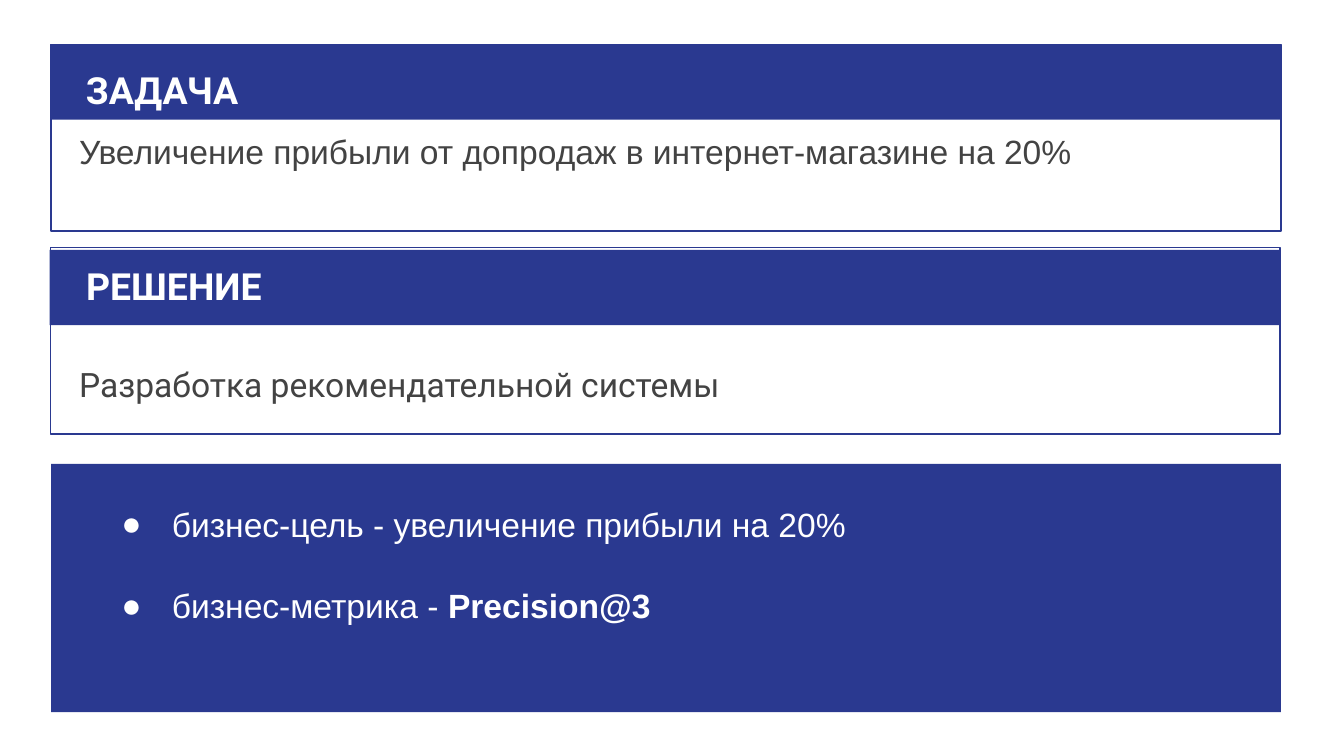
from lxml import etree
from pptx import Presentation
from pptx.dml.color import RGBColor
from pptx.enum import shapes, text
from pptx.oxml import ns
from pptx.util import Pt

BLUE = RGBColor(0x2A, 0x39, 0x90)
GREY = RGBColor(0x43, 0x43, 0x43)
WHITE = RGBColor(0xFF, 0xFF, 0xFF)

# Content: boxes are (left, top, width, height) in points
HEADING = dict(name="Roboto", size=Pt(20), bold=True)
BODY = dict(name="Arial", size=Pt(18), bold=False)
SECTIONS = [
    dict(frame=(27.4, 23.8, 658.8, 100), bar=(26.9, 23.8, 659.5, 40.3)),
    dict(frame=(26.9, 132.5, 658.8, 100), bar=(26.6, 133.9, 659.5, 40.3)),
]
GOALS_PANEL = (27.4, 248.5, 658.8, 133)
TITLE = ("РЕШЕНИЕ", (38.9, 133.9, 160.6, 36))
TEXTS = [
    ("ЗАДАЧА", (38.9, 25.2, 196.6, 36), HEADING, WHITE, 1.15),
    ("Увеличение прибыли от допродаж в интернет-магазине на 20%",
     (35.3, 65.5, 594, 48.2), BODY, GREY, 0.9),
    ("Разработка рекомендательной системы",
     (35.3, 184.3, 599.8, 40.3), dict(BODY, name="Roboto"), GREY, 1.15),
]
GOALS_BOX = (49, 265, 621.4, 103)
GOALS = [
    [("бизнес-цель - увеличение прибыли на 20%", False)],
    [("бизнес-метрика - ", False), ("Precision@3", True)],
]
GOAL_GAP = 24.3

prs = Presentation()
prs.slide_width, prs.slide_height = Pt(720), Pt(405)
slide = prs.slides.add_slide(prs.slide_layouts[5])


def place(sp, box):
    sp.left, sp.top, sp.width, sp.height = map(Pt, box)


def add_rect(box, filled):
    sp = slide.shapes.add_shape(shapes.MSO_SHAPE.RECTANGLE, *map(Pt, box))
    sp.shadow.inherit = False
    if filled:
        sp.fill.solid()
        sp.fill.fore_color.rgb = BLUE
        sp.line.fill.background()
    else:
        sp.fill.background()
        sp.line.color.rgb = BLUE
        sp.line.width = Pt(0.75)


def set_frame(sp):
    tf = sp.text_frame
    tf.word_wrap = True
    tf.auto_size = text.MSO_AUTO_SIZE.NONE
    tf.vertical_anchor = text.MSO_ANCHOR.TOP
    for side in ("left", "top", "right", "bottom"):
        setattr(tf, "margin_" + side, Pt(7.2))
    return tf


def add_run(p, words, font, color):
    r = p.add_run()
    r.text = words
    for key, value in font.items():
        setattr(r.font, key, value)
    r.font.color.rgb = color


def write(sp, words, font, color, spacing):
    p = set_frame(sp).paragraphs[0]
    p.alignment = text.PP_ALIGN.LEFT
    p.line_spacing = spacing
    add_run(p, words, font, color)


def add_bullet(p):
    pPr = p._p.get_or_add_pPr()
    pPr.set("marL", str(Pt(36)))
    pPr.set("indent", str(-Pt(27)))
    color = etree.SubElement(pPr, ns.qn("a:buClr"))
    etree.SubElement(color, ns.qn("a:srgbClr"), val=str(WHITE))
    etree.SubElement(pPr, ns.qn("a:buFont"), typeface="Arial")
    etree.SubElement(pPr, ns.qn("a:buChar"), char="●")


# Framed sections and the goals panel
for section in SECTIONS:
    add_rect(section["frame"], False)
    add_rect(section["bar"], True)
add_rect(GOALS_PANEL, True)

# Title, brought in front of its bar
title = slide.shapes.title
place(title, TITLE[1])
write(title, TITLE[0], HEADING, WHITE, 1.0)
title.element.getparent().append(title.element)

# Other section texts
for words, box, font, color, spacing in TEXTS:
    write(slide.shapes.add_textbox(*map(Pt, box)), words, font, color, spacing)

# Bulleted goals
tf = set_frame(slide.shapes.add_textbox(*map(Pt, GOALS_BOX)))
for i, runs in enumerate(GOALS):
    p = tf.add_paragraph() if i else tf.paragraphs[0]
    p.line_spacing = 0.9
    p.space_before = Pt(GOAL_GAP if i else 10)
    add_bullet(p)
    for words, bold in runs:
        add_run(p, words, dict(BODY, bold=bold), WHITE)

prs.save("out.pptx")
